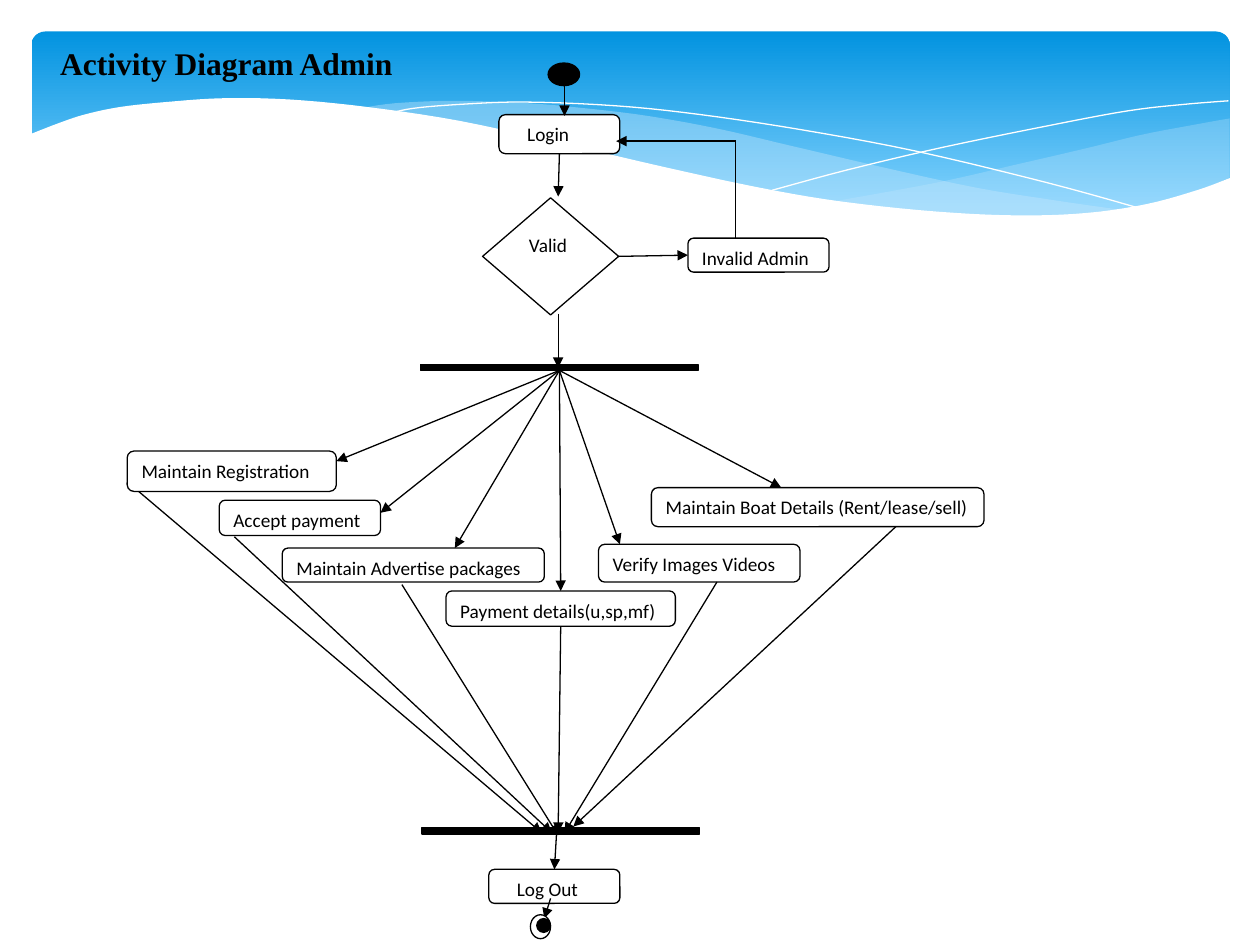
from lxml import etree
from pptx import Presentation
from pptx.dml.color import RGBColor
from pptx.enum.shapes import MSO_CONNECTOR, MSO_SHAPE
from pptx.enum.text import MSO_ANCHOR, MSO_AUTO_SIZE, PP_ALIGN
from pptx.oxml.ns import qn
from pptx.util import Inches, Pt

STRAIGHT = MSO_CONNECTOR.STRAIGHT
RECT, ROUND = MSO_SHAPE.RECTANGLE, MSO_SHAPE.ROUNDED_RECTANGLE
OVAL, DIAMOND = MSO_SHAPE.OVAL, MSO_SHAPE.DIAMOND
RING = MSO_SHAPE.FLOWCHART_CONNECTOR
TOP, LEFT = MSO_ANCHOR.TOP, PP_ALIGN.LEFT
FIT = MSO_AUTO_SIZE.SHAPE_TO_FIT_TEXT

COLORS = {"ink": "000000", "paper": "FFFFFF", "deep": "0293E0", "sky": "83D3FE", "mist": "C6E7FC"}

UPPER = [(9.76, 0.94), (9.48, 0.99), (9.06, 1.07), (8.61, 1.18), (8.05, 1.31), (7.53, 1.43),
         (7.06, 1.52), (6.61, 1.6)]
LOWER = [(6.61, 1.6), (7.05, 1.65), (7.45, 1.69), (7.81, 1.72), (8.35, 1.72), (8.81, 1.67),
         (9.21, 1.6), (9.49, 1.52), (9.76, 1.41)]
CREST = [(8.93, 1.67), (8.37, 1.59), (7.75, 1.49), (7.06, 1.34), (6.29, 1.16), (5.69, 1.02),
         (5.14, 0.92), (4.65, 0.86), (4.2, 0.82), (3.61, 0.8), (3.13, 0.82), (2.86, 0.86)]
BELLY = [(2.86, 0.86), (3.42, 0.94), (4.04, 1.06), (4.49, 1.16), (5.3, 1.35), (6.01, 1.5),
         (6.65, 1.61), (7.22, 1.68), (7.73, 1.72), (8.18, 1.73), (8.57, 1.71), (8.93, 1.67)]
LONG = [(3.09, 0.9), (3.28, 0.86), (3.63, 0.83), (4.16, 0.81), (4.89, 0.84), (5.56, 0.91),
        (6.36, 1.03), (7.27, 1.2), (8.31, 1.45), (9.07, 1.66)]
SHORT = [(6.13, 1.51), (6.72, 1.35), (7.48, 1.17), (8.36, 0.99), (8.95, 0.88), (9.38, 0.83), (9.75, 0.8)]
EDGE = [(9.77, 1.41), (9.5, 1.51), (9.1, 1.62), (8.63, 1.69), (8.09, 1.71), (7.44, 1.68),
        (6.68, 1.6), (6.03, 1.49), (5.29, 1.33), (4.47, 1.14), (3.65, 0.96), (2.92, 0.85),
        (2.3, 0.79), (1.77, 0.78), (1.32, 0.81), (0.95, 0.85), (0.67, 0.91), (0.46, 0.98), (0.23, 1.07)]
BASE = [(0.23, 2.24), (9.77, 2.24)]


def smooth(knots, steps=5):
    """Return points of a Catmull-Rom curve through the knots."""
    ends = [knots[0], *knots, knots[-1]]
    points = [knots[0]]
    for a, b, c, d in zip(ends, ends[1:], ends[2:], ends[3:]):
        for step in range(1, steps + 1):
            t = step / steps
            points.append(tuple(
                (2 * q + (r - p) * t + (2 * p - 5 * q + 4 * r - s) * t**2
                 + (3 * q - p - 3 * r + s) * t**3) / 2
                for p, q, r, s in zip(a, b, c, d)))
    return points


class Canvas:
    """Holds the style and the current slide."""

    def __init__(self, slide):
        self.shapes = slide.shapes
        self.font, self.size, self.width = "Calibri", Pt(11), Pt(0.75)

    def color(self, name):
        return RGBColor.from_string(COLORS[name])

    def label(self, frame, text, font, size, bold=False):
        frame.text = text
        frame.vertical_anchor = TOP
        para = frame.paragraphs[0]
        para.alignment = LEFT
        para.font.name, para.font.size, para.font.bold = font, size, bold
        para.font.color.rgb = self.color("ink")

    def shape(self, kind, box, fill="paper", text="", inset=0.1):
        item = self.shapes.add_shape(kind, *map(Inches, box))
        item.shadow.inherit = False
        item.fill.solid()
        item.fill.fore_color.rgb = self.color(fill)
        item.line.color.rgb = self.color("ink")
        item.line.width = self.width
        if text:
            frame = item.text_frame
            frame.word_wrap = True
            frame.margin_left = Inches(inset)
            self.label(frame, text, self.font, self.size)
        return item

    def banner(self, box):
        item = self.shape(ROUND, box)
        item.adjustments[0] = 0.07
        item.line.fill.background()
        item.fill.gradient()
        item.fill.gradient_angle = 270
        for stop, name, place in zip(item.fill.gradient_stops, ("deep", "sky"), (0, 0.9)):
            stop.color.rgb = self.color(name)
            stop.position = place

    def curve(self, points, fill=None, alpha=100):
        spots = [(Inches(x), Inches(y)) for x, y in points]
        pen = self.shapes.build_freeform(*spots[0])
        pen.add_line_segments(spots[1:], close=fill is not None)
        item = pen.convert_to_shape()
        item.shadow.inherit = False
        if fill:
            item.line.fill.background()
            item.fill.solid()
            item.fill.fore_color.rgb = self.color(fill)
            tint = item._element.spPr.find(qn("a:solidFill")).find(qn("a:srgbClr"))
            etree.SubElement(tint, qn("a:alpha"), val=str(alpha * 1000))
        else:
            item.fill.background()
            item.line.color.rgb = self.color("paper")
            item.line.width = Pt(0)

    def arrow(self, start, end, head=True, first=None, last=None):
        item = self.shapes.add_connector(STRAIGHT, *map(Inches, (*start, *end)))
        if first:
            item.begin_connect(*first)
        if last:
            item.end_connect(*last)
        item.line.color.rgb = self.color("ink")
        item.line.width = self.width
        props = item._element.spPr
        if head:
            etree.SubElement(props.find(qn("a:ln")), qn("a:tailEnd"), type="triangle")
        etree.SubElement(props, qn("a:effectLst"))

    def title(self, box, text):
        frame = self.shapes.add_textbox(*map(Inches, box)).text_frame
        frame.word_wrap = False
        frame.auto_size = FIT
        self.label(frame, text, "Times New Roman", Pt(18), True)


def main():
    deck = Presentation()
    deck.slide_width, deck.slide_height = Inches(10), Inches(7.5)
    art = Canvas(deck.slides.add_slide(deck.slide_layouts[6]))

    art.banner((0.25, 0.25, 9.51, 1.56))
    art.curve(smooth(UPPER) + smooth(LOWER), "mist", 29)
    art.curve(smooth(CREST) + smooth(BELLY), "mist", 40)
    art.curve(smooth(LONG))
    art.curve(smooth(SHORT))
    art.curve(smooth(EDGE) + BASE, "paper")

    art.shape(OVAL, (4.35, 0.5, 0.25, 0.18), "ink")
    login = art.shape(ROUND, (3.96, 0.91, 0.96, 0.31), text="Login", inset=0.21)
    valid = art.shape(DIAMOND, (3.83, 1.57, 1.08, 0.93), text="Valid")
    wrong = art.shape(ROUND, (5.46, 1.89, 1.12, 0.27), text="Invalid Admin")
    fork = art.shape(RECT, (3.34, 2.89, 2.2, 0.05), "ink")
    art.arrow((4.48, 0.59), (4.48, 0.92))
    art.arrow((4.43, 1.22), (4.43, 1.56), first=(login, 2))
    art.arrow((4.89, 2.03), (5.45, 2.03), first=(valid, 3), last=(wrong, 1))
    art.arrow((5.84, 1.89), (5.84, 1.12), head=False)
    art.arrow((5.84, 1.12), (4.89, 1.12))
    art.arrow((4.43, 2.49), (4.43, 2.92))

    tasks = [
        ("Maintain Registration", (1.01, 3.58, 1.66, 0.32), (2.67, 3.66), (1.1, 3.9), (4.3, 6.61)),
        ("Accept payment", (1.74, 3.97, 1.28, 0.28), (3.02, 4.07), (1.86, 4.26), (4.38, 6.61)),
        ("Maintain Boat Details (Rent/lease/sell)", (5.17, 3.87, 2.64, 0.31),
         (6.2, 3.87), (7.11, 4.18), (4.55, 6.56)),
        ("Payment details(u,sp,mf)", (3.54, 4.69, 1.82, 0.28), (4.43, 4.69), (4.43, 4.97), (4.43, 6.61)),
        ("Maintain Advertise packages", (2.24, 4.35, 2.08, 0.27), (3.61, 4.35), (3.19, 4.64), (4.43, 6.63)),
        ("Verify Images Videos", (4.75, 4.32, 1.6, 0.3), (4.92, 4.32), (5.69, 4.62), (4.48, 6.61)),
    ]
    nodes = [art.shape(ROUND, box, text=text) for text, box, *_ in tasks]
    art.shape(RECT, (3.35, 6.57, 2.2, 0.05), "ink")
    for node, (text, _, entry, leave, merge) in zip(nodes, tasks):
        mid = text.startswith("Payment")
        art.arrow((4.43, 2.94), entry, first=(fork, 2), last=(node, 0) if mid else None)
        art.arrow(leave, merge, first=(node, 2) if mid else None)

    logout = art.shape(ROUND, (3.88, 6.9, 1.04, 0.27), text="Log Out", inset=0.21)
    art.arrow((4.42, 6.57), (4.42, 6.88), last=(logout, 0))
    art.arrow((4.37, 7.13), (4.32, 7.29))
    art.shape(RING, (4.21, 7.26, 0.16, 0.19))
    art.shape(RING, (4.26, 7.29, 0.11, 0.11), "ink")
    art.title((0.38, 0.3, 2.87, 0.4), "Activity Diagram Admin")
    deck.save("out.pptx")


if __name__ == "__main__":
    main()
